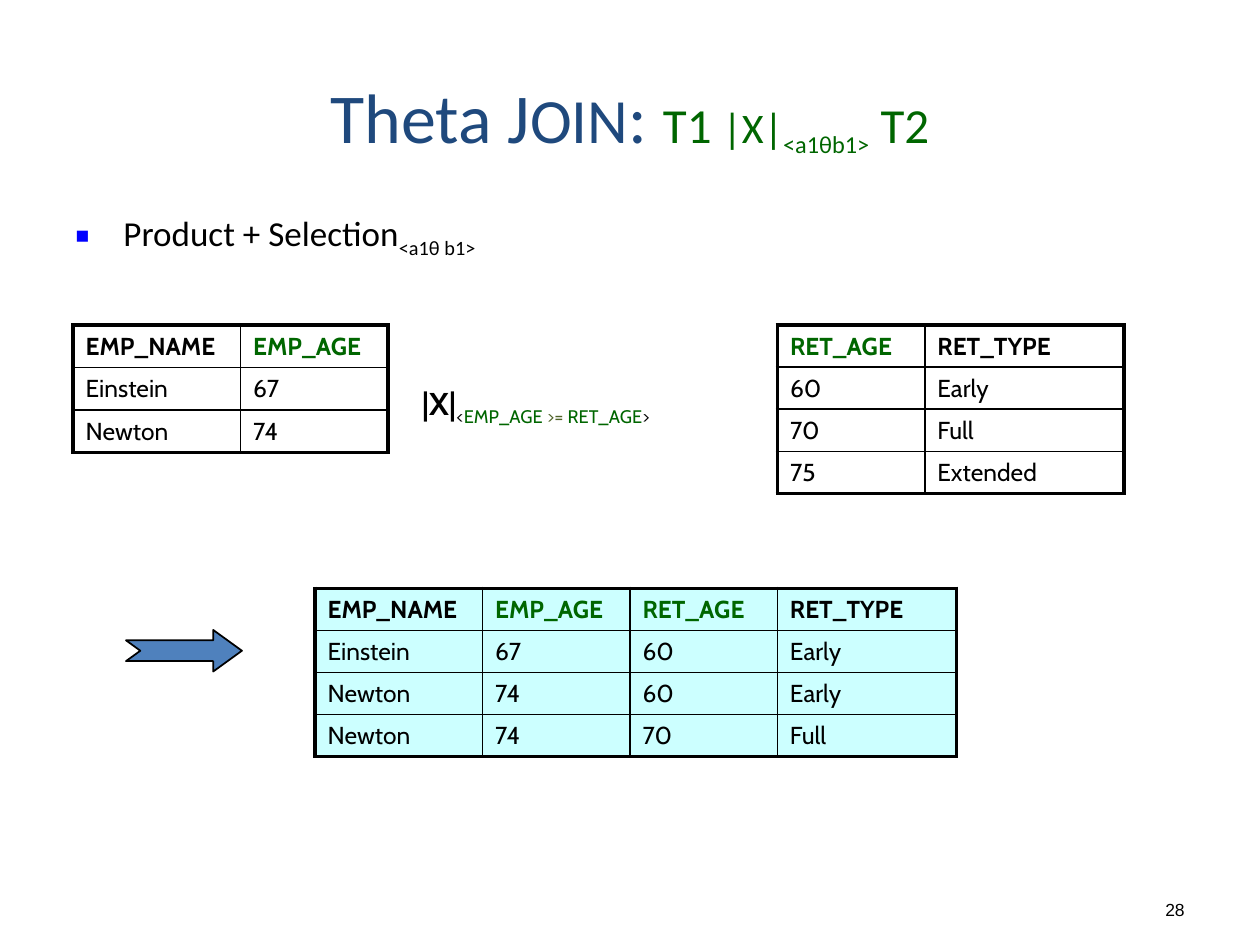
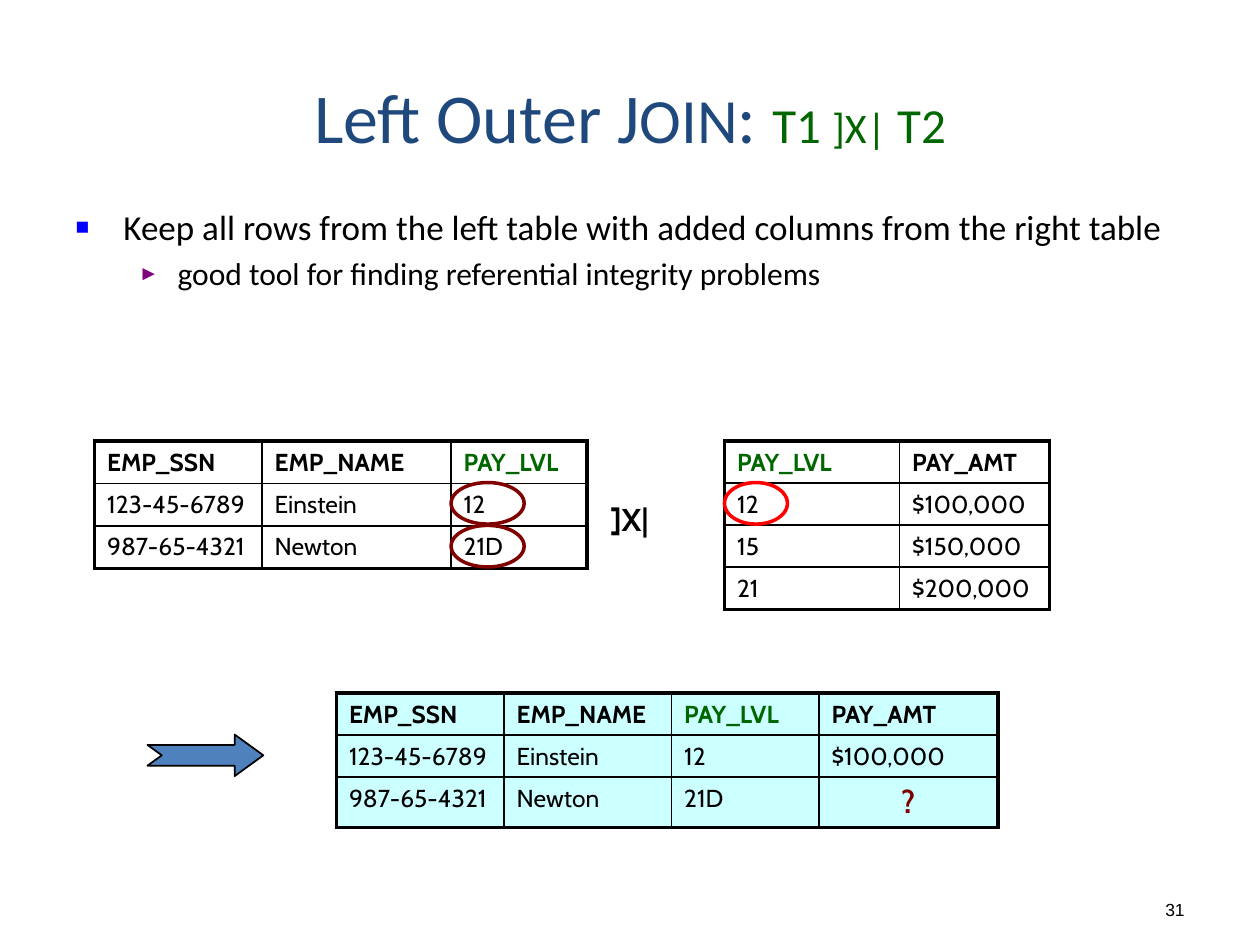
from dataclasses import dataclass
from typing import Optional

from pptx import Presentation
from pptx.dml.color import RGBColor
from pptx.enum.shapes import MSO_SHAPE as Preset
from pptx.enum.text import MSO_ANCHOR as Anchor, MSO_AUTO_SIZE as AutoSize, PP_ALIGN as Align
from pptx.oxml.ns import qn
from pptx.util import Inches, Pt
from lxml.etree import SubElement


@dataclass(frozen=True)
class Theme:
    # Colours
    black: str = "000000"
    title: str = "1F497D"
    join: str = "006600"
    compare: str = "4F6228"
    result: str = "CCFFFF"
    arrow: str = "4F81BD"
    missing: str = "800000"
    match: str = "FF0000"
    # Fonts
    heading_font: str = "Calibri"
    data_font: str = "Cabin"
    number_font: str = "Arial"
    # Type sizes
    title_size: int = 40
    caps_size: int = 36
    formula_size: int = 28
    symbol_size: int = 24
    operator_size: int = 18
    cell_size: int = 14
    number_size: int = 10
    # Line widths
    outer: float = 2.25
    inner: float = 1
    ring: float = 2


THEME = Theme()
ROW_HEIGHT = 0.33
JOIN_COLUMNS = {"EMP_AGE", "RET_AGE", "PAY_LVL"}


@dataclass(frozen=True)
class Bullet:
    char: str
    color: str
    size: int
    left: float
    hang: float


BULLETS = (Bullet("■", "0000FF", 20, 0.38, 0.38),
           Bullet("►", "800080", 18, 0.81, 0.31))


@dataclass(frozen=True)
class Span:
    text: str
    size: Optional[int] = None
    color: str = THEME.black
    bold: bool = False
    sub: bool = False


# Text
def add_spans(paragraph, spans, font, size=None):
    for span in spans:
        run = paragraph.add_run()
        run.text = span.text
        run.font.name = font
        run.font.size = Pt(span.size or size)
        run.font.bold = span.bold
        run.font.color.rgb = RGBColor.from_string(span.color)
        if span.sub:
            run._r.get_or_add_rPr().set("baseline", "-25000")


def place(shape, left, top, width, height):
    shape.left, shape.top = Inches(left), Inches(top)
    shape.width, shape.height = Inches(width), Inches(height)


def add_title(slide, name, formula):
    title = slide.shapes.title
    place(title, 0.5, 0.42, 9, 1)
    frame = title.text_frame
    frame.auto_size = AutoSize.NONE
    frame.vertical_anchor = Anchor.MIDDLE
    paragraph = frame.paragraphs[0]
    paragraph.alignment = Align.CENTER
    heading = [Span(f"{name} J", THEME.title_size, THEME.title),
               Span("OIN", THEME.caps_size, THEME.title),
               Span(": ", THEME.title_size, THEME.title)]
    operands = [Span("T1 ", THEME.formula_size, THEME.join), *formula,
                Span(" T2", THEME.formula_size, THEME.join)]
    add_spans(paragraph, heading + operands, THEME.heading_font)


def set_bullet(paragraph, bullet):
    props = paragraph._p.get_or_add_pPr()
    props.set("marL", str(Inches(bullet.left)))
    props.set("indent", str(-Inches(bullet.hang)))
    color = SubElement(props, qn("a:buClr"))
    SubElement(color, qn("a:srgbClr"), val=bullet.color)
    SubElement(props, qn("a:buSzPct"), val="65000")
    SubElement(props, qn("a:buFont"), typeface=THEME.number_font)
    SubElement(props, qn("a:buChar"), char=bullet.char)


def add_points(slide, top, height, points):
    """Fill the body placeholder, one bullet level deeper for each point."""
    body = slide.placeholders[1]
    place(body, 0.5, top, 8.83, height)
    frame = body.text_frame
    frame.auto_size = AutoSize.NONE
    for level, spans in enumerate(points):
        paragraph = frame.add_paragraph() if level else frame.paragraphs[0]
        paragraph.level = level
        set_bullet(paragraph, BULLETS[level])
        paragraph.space_before = Pt(4 if level else 0)
        add_spans(paragraph, spans, THEME.heading_font, BULLETS[level].size)


def add_label(slide, box, spans, font, size, align=Align.LEFT, anchor=Anchor.TOP):
    label = slide.shapes.add_textbox(*map(Inches, box))
    frame = label.text_frame
    frame.word_wrap = True
    frame.vertical_anchor = anchor
    frame.paragraphs[0].alignment = align
    add_spans(frame.paragraphs[0], spans, font, size)


def add_operator(slide, left, top, width, spans):
    add_label(slide, (left, top, width, 0.4), spans, THEME.data_font, THEME.operator_size)


def add_number(slide, number):
    add_label(slide, (9.08, 7.08, 0.42, 0.27), [Span(number)], THEME.number_font,
              THEME.number_size, Align.RIGHT, Anchor.BOTTOM)


# Tables
def set_borders(cell, outer_sides):
    props = cell._tc.get_or_add_tcPr()
    for side in "LRTB":
        width = THEME.outer if side in outer_sides else THEME.inner
        line = SubElement(props, qn(f"a:ln{side}"), w=str(Pt(width)))
        fill = SubElement(line, qn("a:solidFill"))
        SubElement(fill, qn("a:srgbClr"), val=THEME.black)


def cell_span(text, is_header):
    if text == "?":
        return Span(text, THEME.operator_size, THEME.missing, bold=True)
    color = THEME.join if text in JOIN_COLUMNS else THEME.black
    return Span(text, color=color, bold=is_header)


def add_relation(slide, left, top, widths, rows, fill=None):
    last_row, last_column = len(rows) - 1, len(widths) - 1
    table = slide.shapes.add_table(
        len(rows), len(widths), Inches(left), Inches(top),
        Inches(sum(widths)), Inches(ROW_HEIGHT * len(rows))).table
    table.first_row = table.horz_banding = False
    for column, width in zip(table.columns, widths):
        column.width = Inches(width)
    for r, values in enumerate(rows):
        table.rows[r].height = Inches(ROW_HEIGHT)
        for c, text in enumerate(values):
            cell = table.cell(r, c)
            edges = {"L": c == 0, "R": c == last_column, "T": r == 0, "B": r == last_row}
            set_borders(cell, [side for side, is_outer in edges.items() if is_outer])
            if fill:
                cell.fill.solid()
                cell.fill.fore_color.rgb = RGBColor.from_string(fill)
            else:
                cell.fill.background()
            paragraph = cell.text_frame.paragraphs[0]
            paragraph.alignment = Align.CENTER if text == "?" else Align.LEFT
            add_spans(paragraph, [cell_span(text, r == 0)], THEME.data_font, THEME.cell_size)


# Shapes
def add_outlined(slide, preset, box, color, width):
    shape = slide.shapes.add_shape(preset, *map(Inches, box))
    shape.shadow.inherit = False
    shape.line.color.rgb = RGBColor.from_string(color)
    shape.line.width = Pt(width)
    return shape


def add_result_arrow(slide, left, top):
    arrow = add_outlined(slide, Preset.NOTCHED_RIGHT_ARROW, (left, top, 0.92, 0.33),
                         THEME.black, THEME.inner)
    arrow.adjustments[0], arrow.adjustments[1] = 0.5, 0.69
    arrow.fill.solid()
    arrow.fill.fore_color.rgb = RGBColor.from_string(THEME.arrow)


def add_ring(slide, left, top, width, color):
    ring = add_outlined(slide, Preset.OVAL, (left, top, width, 0.33), color, THEME.ring)
    ring.fill.background()


# Slides
def build_theta_join(slide):
    add_title(slide, "Theta", [Span("|X|", THEME.symbol_size, THEME.join),
                               Span("<a1θb1>", THEME.symbol_size, THEME.join, sub=True)])
    add_points(slide, 1.63, 0.62, [[Span("Product + Selection"), Span("<a1θ b1>", sub=True)]])

    add_relation(slide, 0.58, 2.58, (1.33, 1.17), (
        ("EMP_NAME", "EMP_AGE"), ("Einstein", "67"), ("Newton", "74")))
    add_operator(slide, 3.25, 3, 2.75, [
        Span("|X|", bold=True),
        Span("<", sub=True),
        Span("EMP_AGE ", color=THEME.join, sub=True),
        Span(">= ", color=THEME.compare, sub=True),
        Span("RET_AGE", color=THEME.join, sub=True),
        Span(">", sub=True)])
    add_relation(slide, 6.17, 2.58, (1.17, 1.58), (
        ("RET_AGE", "RET_TYPE"), ("60", "Early"), ("70", "Full"), ("75", "Extended")))

    add_result_arrow(slide, 1, 5)
    add_relation(slide, 2.5, 4.67, (1.33, 1.17, 1.17, 1.42), (
        ("EMP_NAME", "EMP_AGE", "RET_AGE", "RET_TYPE"),
        ("Einstein", "67", "60", "Early"),
        ("Newton", "74", "60", "Early"),
        ("Newton", "74", "70", "Full")), THEME.result)
    add_number(slide, "28")


def build_left_outer_join(slide):
    add_title(slide, "Left Outer", [Span("]X|", THEME.symbol_size, THEME.join)])
    add_points(slide, 1.58, 1.5, [
        [Span("Keep all rows from the left table with added columns from the right table")],
        [Span("good tool for finding referential integrity problems")]])

    add_relation(slide, 0.75, 3.5, (1.33, 1.5, 1.08), (
        ("EMP_SSN", "EMP_NAME", "PAY_LVL"),
        ("123-45-6789", "Einstein", "12"),
        ("987-65-4321", "Newton", "21D")))
    add_operator(slide, 4.75, 3.92, 0.83, [Span("]X|", bold=True)])
    add_relation(slide, 5.75, 3.5, (1.39, 1.19), (
        ("PAY_LVL", "PAY_AMT"), ("12", "$100,000"), ("15", "$150,000"), ("21", "$200,000")))

    add_result_arrow(slide, 1.17, 5.83)
    add_relation(slide, 2.67, 5.5, (1.33, 1.33, 1.17, 1.42), (
        ("EMP_SSN", "EMP_NAME", "PAY_LVL", "PAY_AMT"),
        ("123-45-6789", "Einstein", "12", "$100,000"),
        ("987-65-4321", "Newton", "21D", "?")), THEME.result)

    # Pay levels to compare
    for top in (3.83, 4.17):
        add_ring(slide, 3.58, top, 0.58, THEME.missing)
    add_ring(slide, 5.75, 3.83, 0.5, THEME.match)
    add_number(slide, "31")


def main():
    deck = Presentation()
    deck.slide_width, deck.slide_height = Inches(10), Inches(7.5)
    for build in (build_theta_join, build_left_outer_join):
        build(deck.slides.add_slide(deck.slide_layouts[1]))
    deck.save("out.pptx")


if __name__ == "__main__":
    main()
